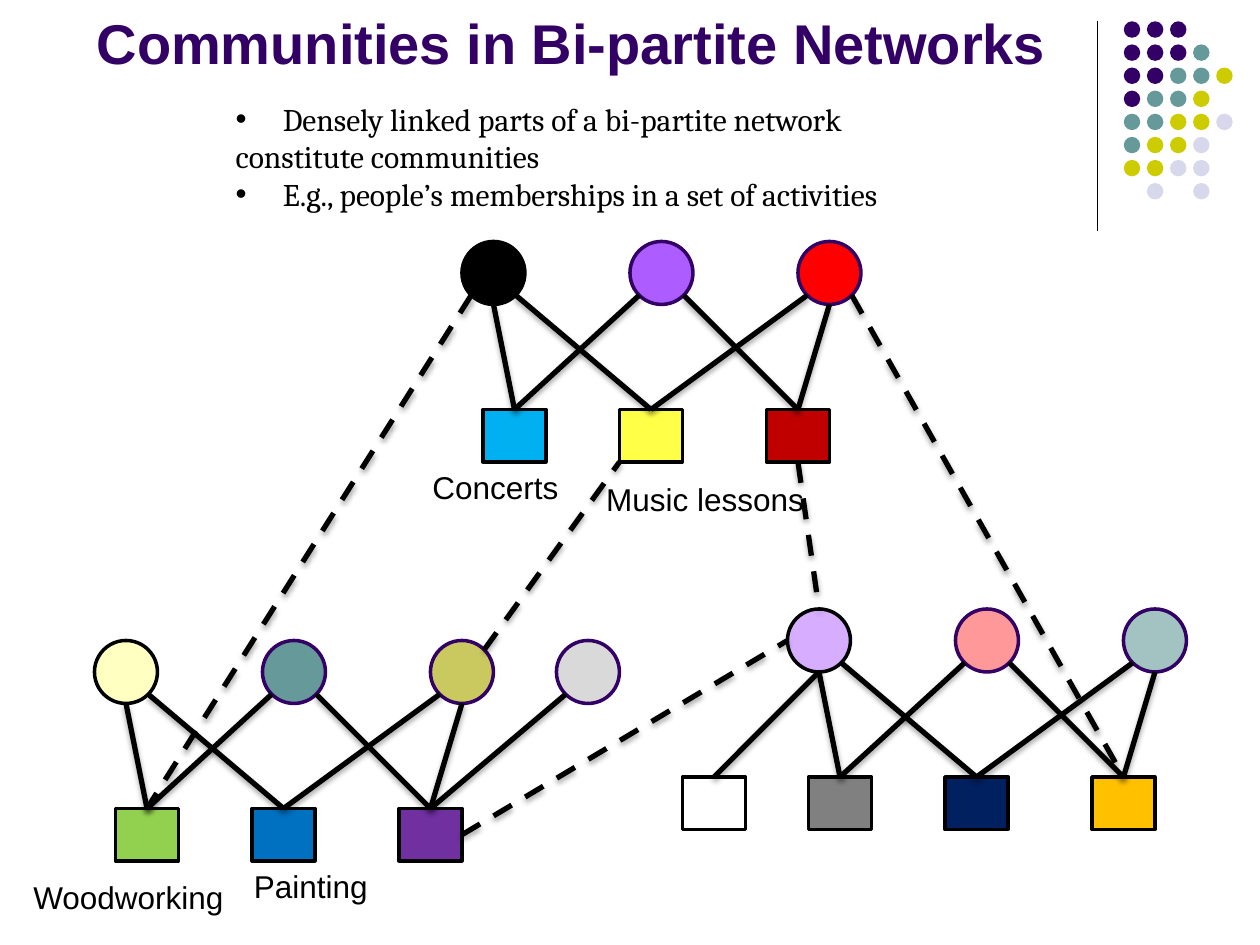
from dataclasses import dataclass
from math import sqrt
from typing import Optional

from lxml.etree import SubElement
from pptx import Presentation
from pptx.dml.color import RGBColor as RGB
from pptx.enum.dml import MSO_LINE_DASH_STYLE as Dash
from pptx.enum.shapes import MSO_CONNECTOR as Conn, MSO_SHAPE as Kind
from pptx.enum.text import MSO_ANCHOR as Anchor, MSO_AUTO_SIZE as Fit, PP_ALIGN as Align
from pptx.oxml import parse_xml
from pptx.oxml.ns import nsdecls, qn
from pptx.util import Pt

BLACK = RGB(0, 0, 0)
INDIGO = RGB(0x33, 0x00, 0x66)
TEAL = RGB(0x66, 0x99, 0x99)
LIME = RGB(0xCC, 0xCC, 0x00)
MIST = RGB(0xD8, 0xD8, 0xEC)
VIOLET = RGB(0xAD, 0x5C, 0xFF)
RED = RGB(0xFF, 0x00, 0x00)
SKY = RGB(0x00, 0xB0, 0xF0)
YELLOW = RGB(0xFF, 0xFF, 0x47)
CRIMSON = RGB(0xC0, 0x00, 0x00)
CREAM = RGB(0xFF, 0xFF, 0xC2)
OLIVE = RGB(0xC9, 0xC9, 0x60)
GREEN = RGB(0x92, 0xD0, 0x50)
BLUE = RGB(0x00, 0x70, 0xC0)
PURPLE = RGB(0x70, 0x30, 0xA0)
LILAC = RGB(0xD6, 0xAD, 0xFF)
PINK = RGB(0xFF, 0x99, 0x99)
AQUA = RGB(0xA3, 0xC2, 0xC2)
GREY = RGB(0x80, 0x80, 0x80)
NAVY = RGB(0x00, 0x20, 0x60)
GOLD = RGB(0xFF, 0xC0, 0x00)
SILVER = RGB(0xD9, 0xD9, 0xD9)

SIZE = 36
DEPTH = 30
DROP = 96


@dataclass
class Node:
    kind: Kind
    x: float
    y: float
    fill: Optional[RGB]
    edge: RGB = BLACK

    @property
    def tall(self) -> float:
        return SIZE if self.kind == Kind.OVAL else DEPTH

    def spot(self, dx: int, dy: int) -> tuple[float, float]:
        reach = 1 / sqrt(2) if self.kind == Kind.OVAL and dx and dy else 1
        return (self.x + SIZE / 2 * (1 + dx * reach),
                self.y + self.tall / 2 * (1 + dy * reach))


@dataclass
class Label:
    text: str
    x: float
    y: float
    wide: float


@dataclass
class Cluster:
    x: float
    y: float
    people: tuple
    acts: tuple


CLUSTERS = [
    Cluster(264, 138, (BLACK, VIOLET, RED), (SKY, YELLOW, CRIMSON)),
    Cluster(54, 366, (CREAM, TEAL, OLIVE), (GREEN, BLUE, PURPLE)),
    Cluster(450, 348, (LILAC, PINK, AQUA), (GREY, NAVY, GOLD)),
]
LINKS = [(0, 0, 0), (1, -1, 0), (0, 1, 1), (2, -1, 1), (1, 1, 2), (2, 0, 2)]
LABELS = [
    Label("Concerts", 240, 264, 87),
    Label("Music lessons", 339.3, 271, 129),
    Label("Woodworking", 12, 498, 124.5),
    Label("Painting", 138, 492, 80),
]
DOTS = ["PPP", "PPPT", "PPTTY", "PTTY", "TTYYL", "TYYL", "YYLL", " L L"]
TINTS = {"P": INDIGO, "T": TEAL, "Y": LIME, "L": MIST}

deck = Presentation()
deck.slide_width, deck.slide_height = Pt(720), Pt(540)
slide = deck.slides.add_slide(deck.slide_layouts[1])
shapes = slide.shapes


def write(para, text: str, *, font: str = "Arial", size: float = 18,
          color: RGB = BLACK, bold: bool = False) -> None:
    para.alignment = Align.LEFT
    para.space_before = Pt(0)
    run = para.add_run()
    run.text = text
    run.font.name, run.font.size, run.font.bold = font, Pt(size), bold
    run.font.color.rgb = color


def place(item, x: float, y: float, wide: float, tall: float) -> None:
    item.left, item.top, item.width, item.height = Pt(x), Pt(y), Pt(wide), Pt(tall)


def bullet(para, on: bool) -> None:
    props = para._p.get_or_add_pPr()
    inset = Pt(27) if on else 0
    props.set("marL", str(inset))
    props.set("indent", str(-inset))
    if on:
        SubElement(props, qn("a:buFont"), typeface="Arial")
        SubElement(props, qn("a:buChar"), char="•")
    else:
        SubElement(props, qn("a:buNone"))


def draw(node: Node) -> Node:
    item = shapes.add_shape(node.kind, Pt(node.x), Pt(node.y), Pt(SIZE), Pt(node.tall))
    item.shadow.inherit = False
    if node.fill is None:
        item.fill.background()
    else:
        item.fill.solid()
        item.fill.fore_color.rgb = node.fill
    item.line.color.rgb = node.edge
    item.line.width = Pt(2)
    return node


def join(start: tuple, end: tuple, *, wide: float = 3, dash: bool = False,
         shade: bool = True) -> None:
    line = shapes.add_connector(Conn.STRAIGHT, *(Pt(v) for v in (*start, *end)))
    line.line.color.rgb = BLACK
    line.line.width = Pt(wide)
    if dash:
        line.line.dash_style = Dash.DASH
    glow = ('<a:outerShdw blurRad="40000" dist="23000" dir="5400000" rotWithShape="0">'
            '<a:srgbClr val="000000"><a:alpha val="35000"/></a:srgbClr></a:outerShdw>')
    line._element.spPr.append(parse_xml(
        f'<a:effectLst {nsdecls("a")}>{glow if shade else ""}</a:effectLst>'))


def build(group: Cluster) -> tuple[list[Node], list[Node]]:
    people = [draw(Node(Kind.OVAL, group.x + 96 * i, group.y, fill, INDIGO if i else BLACK))
              for i, fill in enumerate(group.people)]
    acts = [draw(Node(Kind.RECTANGLE, group.x + dx, group.y + DROP, fill))
            for dx, fill in zip((12, 90, 174), group.acts)]
    for who, side, act in LINKS:
        join(people[who].spot(side, 1), acts[act].spot(0, -1))
    return people, acts


def dots() -> None:
    grid = shapes.add_group_shape().shapes
    for row, marks in enumerate(DOTS):
        for col, mark in enumerate(marks):
            if mark in TINTS:
                dot = grid.add_shape(Kind.OVAL, Pt(642.2 + 13.2 * col),
                                     Pt(12.2 + 13.2 * row), Pt(9.4), Pt(9.4))
                dot.shadow.inherit = False
                dot.fill.solid()
                dot.fill.fore_color.rgb = TINTS[mark]
                dot.line.fill.background()


title = shapes.title
place(title, 48, 0, 594, 46.7)
title.text_frame.vertical_anchor = Anchor.BOTTOM
title.text_frame.auto_size = Fit.NONE
write(title.text_frame.paragraphs[0], "Communities in Bi-partite Networks",
      size=32, color=INDIGO, bold=True)

body = slide.placeholders[1]
place(body, 127.4, 53.3, 403, 73)
frame = body.text_frame
frame.auto_size = Fit.NONE
frame.word_wrap = False
for i, (text, on) in enumerate([
        ("Densely linked parts of a bi-partite network", True),
        ("constitute communities", False),
        ("E.g., people’s memberships in a set of activities", True)]):
    para = frame.add_paragraph() if i else frame.paragraphs[0]
    write(para, text, font="Cambria")
    bullet(para, on)

join((627, 12), (627, 132), wide=0.75, shade=False)
dots()

(top, fun), (left, craft), (right, other) = [build(group) for group in CLUSTERS]
guest = draw(Node(Kind.OVAL, 318, 366, SILVER, INDIGO))
blank = draw(Node(Kind.RECTANGLE, 390, 444, None))
join(guest.spot(-1, 1), craft[2].spot(0, -1))
join(blank.spot(0, -1), right[0].spot(0, 1))

for start, end in [
        (top[0].spot(-1, 1), craft[0].spot(0, -1)),
        (left[2].spot(1, -1), fun[1].spot(-1, 1)),
        (fun[2].spot(0, 1), right[0].spot(0, -1)),
        (top[2].spot(1, 1), other[2].spot(0, -1)),
        (craft[2].spot(1, 0), right[0].spot(-1, 0))]:
    join(start, end, dash=True)

for label in LABELS:
    box = shapes.add_textbox(Pt(label.x), Pt(label.y), Pt(label.wide), Pt(29))
    box.text_frame.word_wrap = False
    write(box.text_frame.paragraphs[0], label.text)

deck.save("out.pptx")
